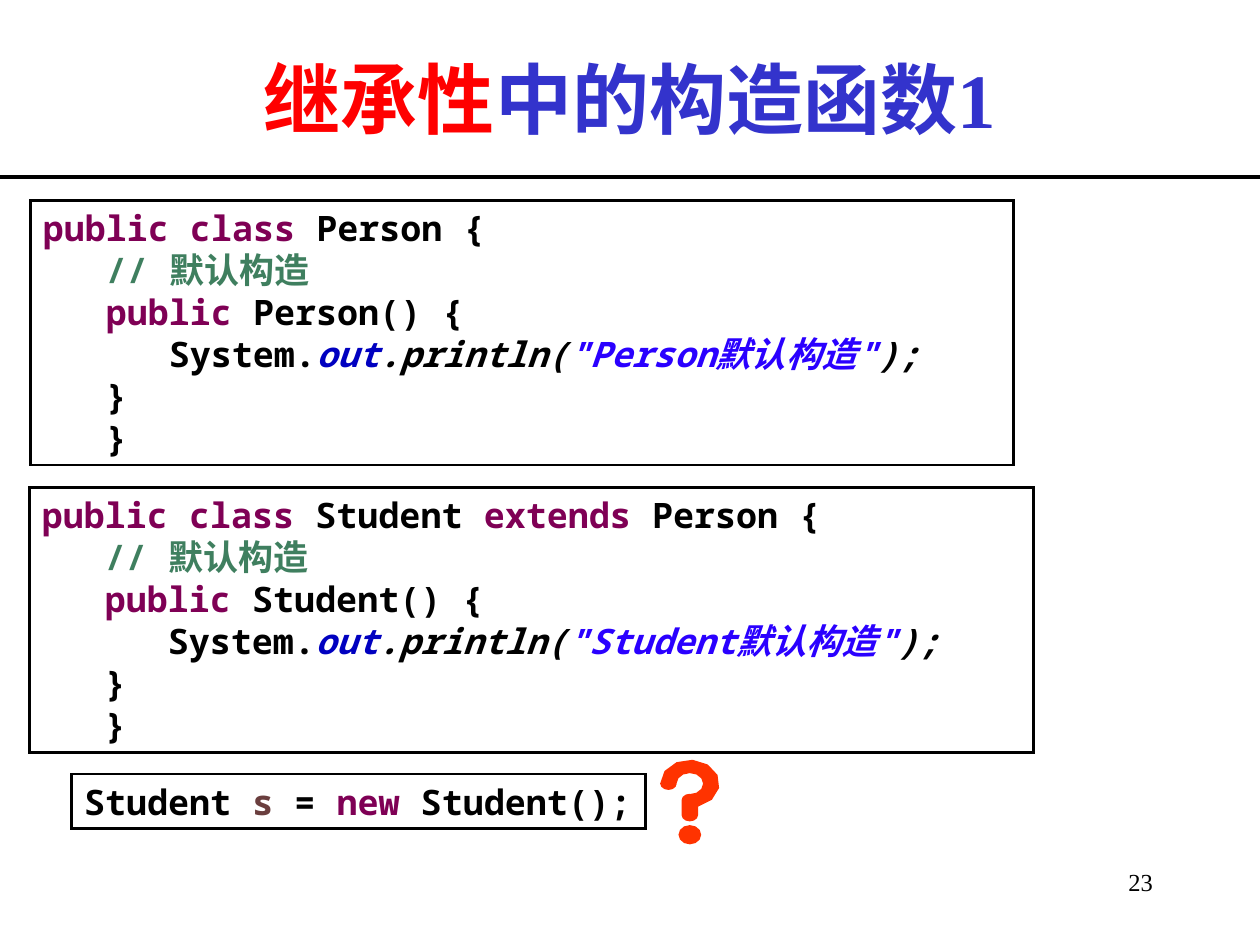
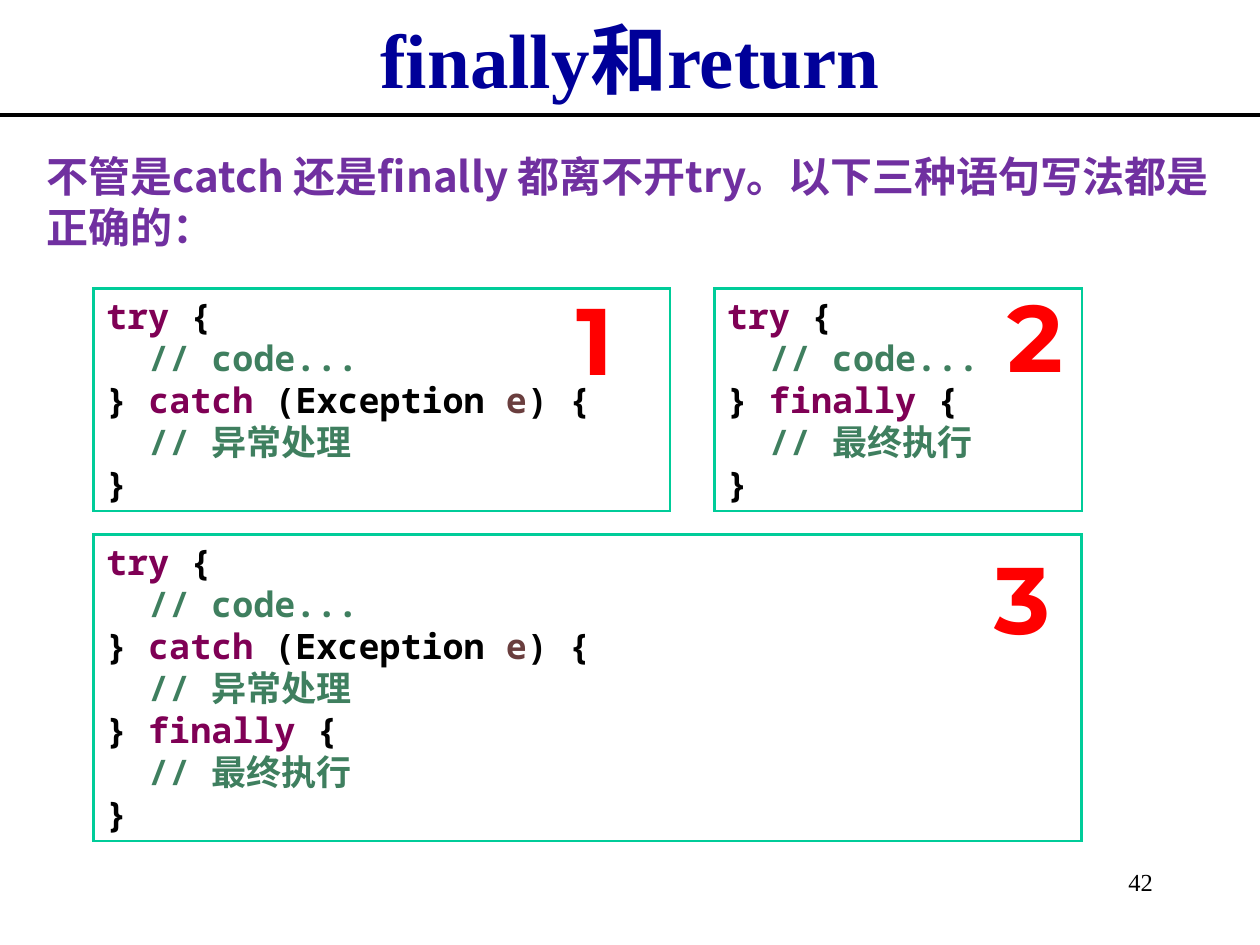
from dataclasses import dataclass
from math import cos, radians, sin

from lxml import etree
from pptx import Presentation
from pptx.dml.color import RGBColor
from pptx.enum.shapes import MSO_CONNECTOR, MSO_SHAPE
from pptx.enum.text import MSO_ANCHOR, MSO_AUTO_SIZE, PP_ALIGN
from pptx.oxml.ns import qn
from pptx.util import Pt

STRAIGHT = MSO_CONNECTOR.STRAIGHT
RECTANGLE = MSO_SHAPE.RECTANGLE
TOP, MIDDLE = MSO_ANCHOR.TOP, MSO_ANCHOR.MIDDLE
NO_FIT, GROW = MSO_AUTO_SIZE.NONE, MSO_AUTO_SIZE.SHAPE_TO_FIT_TEXT
LEFT, CENTER, RIGHT = PP_ALIGN.LEFT, PP_ALIGN.CENTER, PP_ALIGN.RIGHT

SERIF, MONO, SANS, DIGIT = "Times New Roman", "Noto Sans Mono", "Noto Sans CJK SC", "Montserrat"
BLACK, RED, BLUE, NAVY, PURPLE = "000000", "FF0000", "3333CC", "000099", "7030A0"
KEYWORD, COMMENT, STRING = "7F0055", "3F7F5F", "2A00FF"
FIELD, VARIABLE = "0000C0", "6A3E3E"
TEAL, ORANGE = "00CC99", "FF3300"

SLIDE_WIDTH, SLIDE_HEIGHT = 720, 540
CODE_INDENT, CODE_TAB = 36, 108
ARC_STEP = 30


@dataclass(frozen=True)
class Span:
    text: str
    color: str = BLACK
    italic: bool = False


@dataclass(frozen=True)
class Line:
    spans: tuple[Span, ...]
    indented: bool = False


@dataclass(frozen=True)
class Frame:
    left: float
    top: float
    width: float
    height: float

    def lengths(self):
        return Pt(self.left), Pt(self.top), Pt(self.width), Pt(self.height)


@dataclass(frozen=True)
class CodeBox:
    frame: Frame
    lines: list[Line]
    border: str
    wrap: bool


@dataclass(frozen=True)
class Style:
    font: str
    asian_font: str
    size: float
    bold: bool = True
    align: PP_ALIGN = LEFT
    spacing: float | None = None


@dataclass(frozen=True)
class Arc:
    """Part of an ellipse, with angles in degrees, clockwise from the right."""
    x: float
    y: float
    radius_x: float
    radius_y: float
    start: int
    end: int

    def points(self):
        turn = self.end - self.start
        steps = round(abs(turn) / ARC_STEP)
        angles = [radians(self.start + turn * step / steps) for step in range(steps + 1)]
        return [(Pt(self.x + self.radius_x * cos(angle)), Pt(self.y + self.radius_y * sin(angle)))
                for angle in angles]


TITLE = Style(SERIF, SANS, 44, align=CENTER)
PAGE_NUMBER = Style(SERIF, SANS, 14, bold=False, align=RIGHT)
CODE = Style(MONO, MONO, 20, spacing=24)
INTRO = Style(SANS, SANS, 24, spacing=29)
BIG_DIGIT = Style(DIGIT, DIGIT, 54)


def rgb(color: str) -> RGBColor:
    return RGBColor.from_string(color)


def code_line(*spans: Span, indented: bool = False) -> Line:
    return Line(spans, indented)


def write(para, line: Line, style: Style) -> None:
    para.alignment = style.align
    if style.spacing:
        para.line_spacing = Pt(style.spacing)
    properties = para._p.get_or_add_pPr()
    if line.indented:
        para.level = 1
        properties.set("marL", str(Pt(CODE_INDENT)))
        properties.set("indent", "0")
    if any("\t" in span.text for span in line.spans):
        tabs = etree.SubElement(properties, qn("a:tabLst"))
        etree.SubElement(tabs, qn("a:tab"), pos=str(Pt(CODE_TAB)), algn="l")
    font = para.font
    font.name, font.size, font.bold = style.font, Pt(style.size), style.bold
    etree.SubElement(properties.find(qn("a:defRPr")), qn("a:ea"), typeface=style.asian_font)
    same_color = len({span.color for span in line.spans}) == 1
    if same_color:
        font.color.rgb = rgb(line.spans[0].color)
    for span in line.spans:
        run = para.add_run()
        run.text = span.text
        if not same_color:
            run.font.color.rgb = rgb(span.color)
        if span.italic:
            run.font.italic = True


def fill_frame(text_frame, lines: list[Line], style: Style, wrap: bool = True,
               fit: MSO_AUTO_SIZE = NO_FIT, anchor: MSO_ANCHOR = TOP) -> None:
    text_frame.word_wrap = wrap
    text_frame.auto_size = fit
    text_frame.vertical_anchor = anchor
    for number, line in enumerate(lines):
        para = text_frame.add_paragraph() if number else text_frame.paragraphs[0]
        write(para, line, style)


def add_text(page, frame: Frame, span: Span, style: Style, wrap: bool = True):
    box = page.shapes.add_textbox(*frame.lengths())
    fill_frame(box.text_frame, [code_line(span)], style, wrap)
    return box


def add_code(page, code: CodeBox) -> None:
    box = page.shapes.add_shape(RECTANGLE, *code.frame.lengths())
    box.shadow.inherit = False
    box.fill.background()
    box.line.color.rgb = rgb(code.border)
    box.line.width = Pt(1.5)
    etree.SubElement(box._element.spPr.find(qn("a:ln")), qn("a:miter"), lim="800000")
    fill_frame(box.text_frame, code.lines, CODE, code.wrap, GROW)


def add_page(deck, title: tuple[Span, ...], frame: Frame, rule_y: float, number: int):
    """Add a slide with its title, the rule below it and the page number."""
    page = deck.slides.add_slide(deck.slide_layouts[5])
    heading = page.shapes.title
    heading.left, heading.top, heading.width, heading.height = frame.lengths()
    fill_frame(heading.text_frame, [Line(title)], TITLE, anchor=MIDDLE)
    rule = page.shapes.add_connector(STRAIGHT, 0, Pt(rule_y), Pt(SLIDE_WIDTH), Pt(rule_y))
    rule.line.color.rgb = rgb(BLACK)
    rule.line.width = Pt(2.25)
    etree.SubElement(rule._element.spPr, qn("a:effectLst"))
    add_text(page, Frame(588, 492, 78, 36), Span(str(number)), PAGE_NUMBER)
    return page


def add_question_mark(page) -> None:
    x, y = 394.2, 447.8
    hook = [Arc(x, y, 17, 13.7, 180, 434),
            Arc(x, 465.8, 4.7, 3.6, 0, 180),
            Arc(x, 457.2, 4.7, 3.6, 180, 270),
            Arc(x, y, 7.6, 6, 90, -180),
            Arc(382, y, 4.7, 3.6, 0, 180)]
    outline = [point for arc in hook for point in arc.points()]
    dot = Arc(x, 477, 6.5, 5.5, 0, 360).points()
    builder = page.shapes.build_freeform(*outline[0])
    builder.add_line_segments(outline[1:-1], close=True)
    builder.move_to(*dot[0])
    builder.add_line_segments(dot[1:-1], close=True)
    mark = builder.convert_to_shape()
    mark.shadow.inherit = False
    mark.fill.solid()
    mark.fill.fore_color.rgb = rgb(ORANGE)
    mark.line.fill.background()


def class_code(name: str, *declaration: Span) -> list[Line]:
    return [
        code_line(Span("public class", KEYWORD), *declaration),
        code_line(Span("// 默认构造", COMMENT), indented=True),
        code_line(Span("public", KEYWORD), Span(f" {name}() {{"), indented=True),
        code_line(Span("\tSystem."), Span("out", FIELD, True), Span(".println(", italic=True),
                  Span(f'"{name}默认构造"', STRING, True), Span(");", italic=True),
                  indented=True),
        code_line(Span("}"), indented=True),
        code_line(Span("}"), indented=True),
    ]


def constructors_page(deck) -> None:
    title = Span("继承性", RED), Span("中的构造函数1", BLUE)
    page = add_page(deck, title, Frame(54, 10.8, 612, 90), 101.1, 23)
    person = class_code("Person", Span(" Person {"))
    student = class_code("Student", Span(" Student "), Span("extends", KEYWORD),
                         Span(" Person {"))
    creation = [code_line(Span("Student "), Span("s", VARIABLE), Span(" = "),
                          Span("new", KEYWORD), Span(" Student();"))]
    for frame, lines in ((Frame(17.4, 114.6, 561.8, 151.2), person),
                         (Frame(16.9, 278.7, 573.8, 151.2), student),
                         (Frame(41, 442.3, 327.8, 31.2), creation)):
        add_code(page, CodeBox(frame, lines, BLACK, False))
    add_question_mark(page)


def finally_page(deck) -> None:
    title = (Span("finally和return", NAVY),)
    page = add_page(deck, title, Frame(54, 0, 612, 65.5), 65.7, 42)
    intro = Span("不管是catch 还是finally 都离不开try。以下三种语句写法都是正确的：", PURPLE)
    box = add_text(page, Frame(17.3, 81, 686.2, 74.9), intro, INTRO)
    text_frame = box.text_frame
    text_frame.margin_left = text_frame.margin_right = Pt(9.4)
    text_frame.margin_top = text_frame.margin_bottom = Pt(5)

    opening = [code_line(Span("try", KEYWORD), Span(" {")),
               code_line(Span("  // code...", COMMENT))]
    catching = [code_line(Span("} "), Span("catch", KEYWORD), Span(" (Exception "),
                          Span("e", VARIABLE), Span(") {")),
                code_line(Span("  // 异常处理", COMMENT))]
    finishing = [code_line(Span("} "), Span("finally", KEYWORD), Span(" {")),
                 code_line(Span("  // 最终执行", COMMENT))]
    closing = [code_line(Span("}"))]
    left, right, upper, lower = 53.6, 618.2, 164.9, 305.4
    second_left = 408.3
    frames = (Frame(left, upper, 329.2, 127.2),
              Frame(second_left, upper, right - second_left, 127.2),
              Frame(left, lower, right - left, 175.2))
    bodies = catching, finishing, catching + finishing
    for frame, body in zip(frames, bodies):
        add_code(page, CodeBox(frame, opening + body + closing, TEAL, True))
    corners = (322.6, 157), (568.8, 155.1), (561, 305.3)
    for number, (x, y) in enumerate(corners, start=1):
        add_text(page, Frame(x, y, 45.4, 72), Span(str(number), RED), BIG_DIGIT, False)


def main() -> None:
    deck = Presentation()
    deck.slide_width, deck.slide_height = Pt(SLIDE_WIDTH), Pt(SLIDE_HEIGHT)
    constructors_page(deck)
    finally_page(deck)
    deck.save("out.pptx")


if __name__ == "__main__":
    main()
